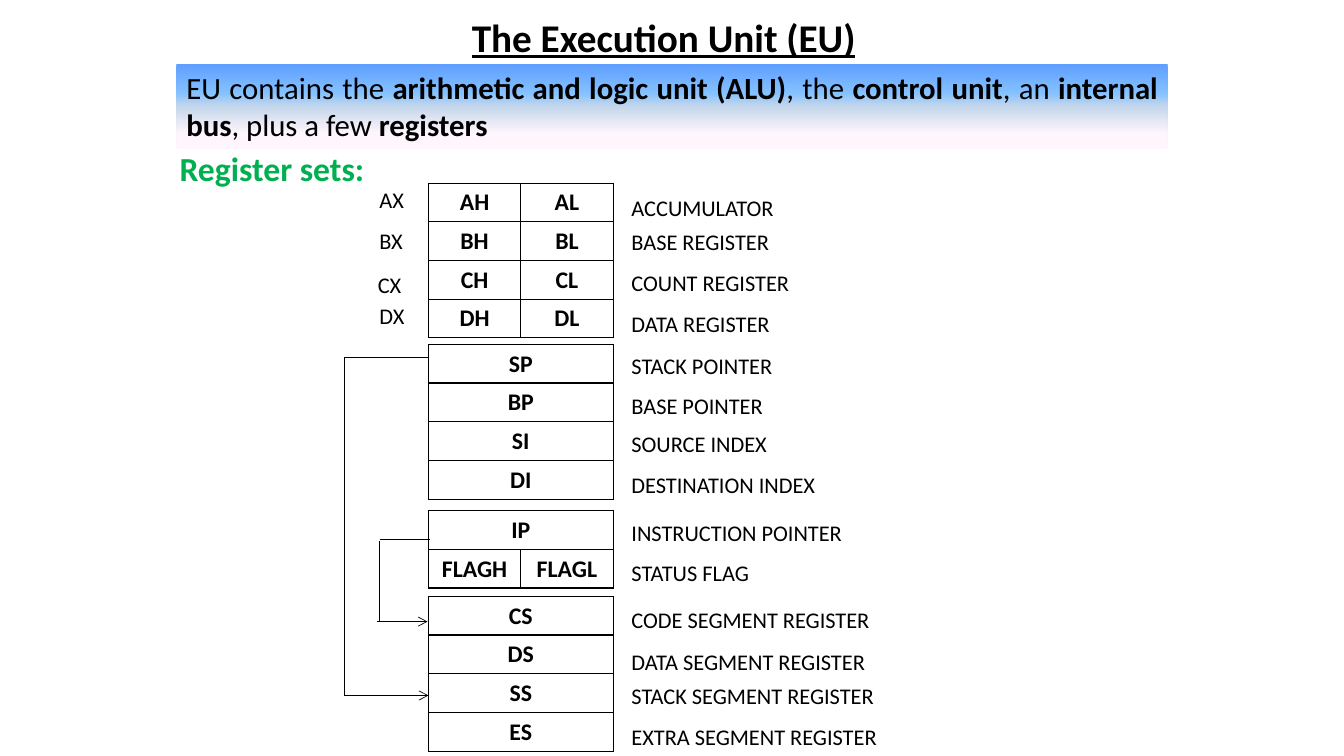
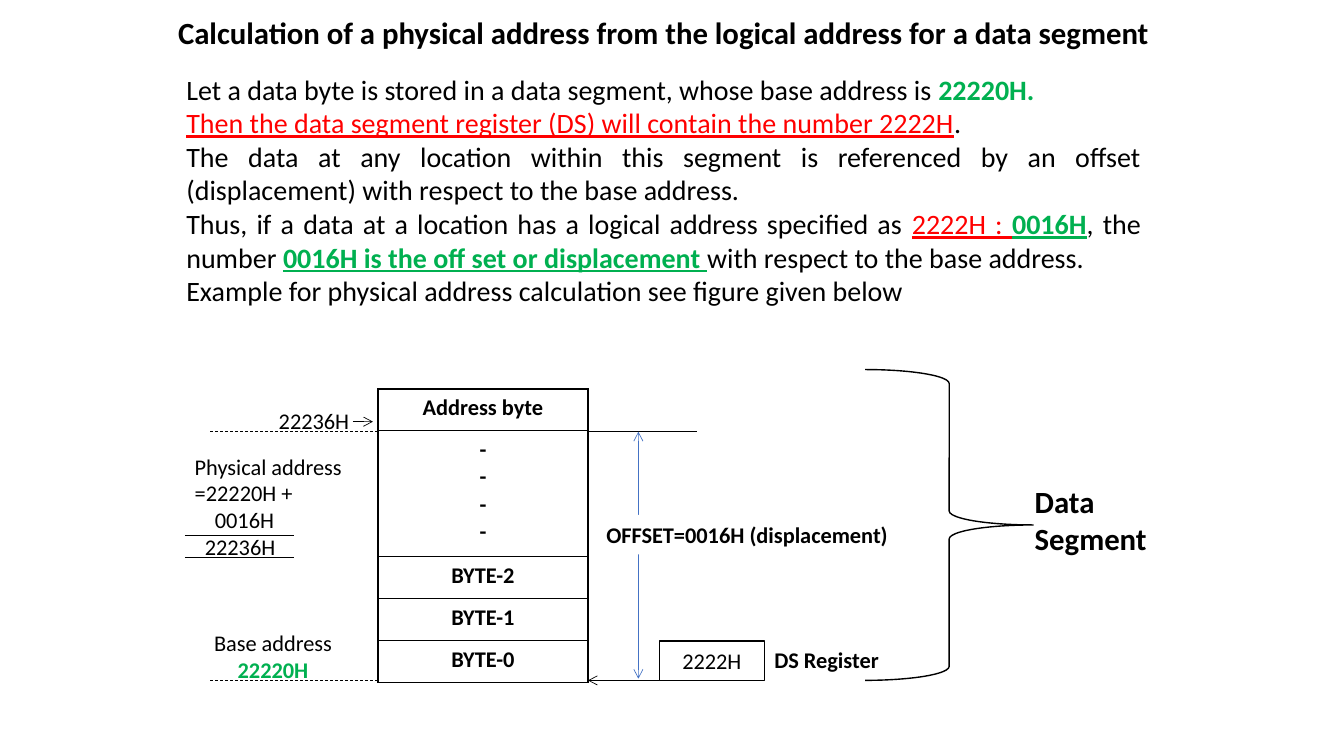
"""Build two slides on processor registers and physical address calculation."""
from dataclasses import dataclass
from typing import NamedTuple

from lxml.etree import SubElement
from pptx import Presentation
from pptx.dml.color import RGBColor
from pptx.enum.dml import MSO_LINE as Dash
from pptx.enum.shapes import MSO_CONNECTOR as Connector, MSO_SHAPE as Preset
from pptx.enum.text import MSO_ANCHOR as Anchor, MSO_AUTO_SIZE as AutoSize, PP_ALIGN as Align
from pptx.oxml.ns import qn
from pptx.util import Inches, Pt

FONT = "Calibri"
BLACK = RGBColor(0x00, 0x00, 0x00)
WHITE = RGBColor(0xFF, 0xFF, 0xFF)
GREEN = RGBColor(0x00, 0xB0, 0x50)
RED = RGBColor(0xFF, 0x00, 0x00)
BLUE = RGBColor(0x44, 0x72, 0xC4)
BANNER_STOPS = (
    (0, RGBColor(0x5E, 0x9E, 0xFF)),
    (35, RGBColor(0x85, 0xC2, 0xFF)),
    (50, RGBColor(0xC4, 0xD6, 0xEB)),
    (82, RGBColor(0xFF, 0xF5, 0xFC)),
)
CELLS_PER_INCH = 12
COLUMNS, ROWS = 160, 90
LABEL_SIZE = 16
TITLE_ONLY = 5


class Area(NamedTuple):
    left: float
    top: float
    width: float
    height: float


class Label(NamedTuple):
    text: str
    left: float
    top: float
    width: float


@dataclass(frozen=True)
class Span:
    text: str
    bold: bool = False
    color: RGBColor = BLACK
    underline: bool = False


@dataclass(frozen=True)
class Para:
    spans: tuple[Span, ...]
    indent: float = 0


@dataclass(frozen=True)
class Grid:
    left: float
    top: float
    columns: tuple[float, ...]
    rows: tuple[float, ...]
    cells: tuple[tuple[str, ...], ...]


@dataclass(frozen=True)
class Wire:
    start: tuple[float, float]
    end: tuple[float, float]
    color: RGBColor = BLACK
    dash: Dash | None = None
    head: bool = False
    tail: bool = False


ROW = 4.6
PAIR, SINGLE = (11, 11), (22,)
REGISTER_GRIDS = (
    Grid(51, 21.8, PAIR, (ROW,) * 4, (("AH", "AL"), ("BH", "BL"), ("CH", "CL"), ("DH", "DL"))),
    Grid(51, 41, SINGLE, (ROW,) * 4, (("SP",), ("BP",), ("SI",), ("DI",))),
    Grid(51, 60.8, PAIR, (ROW,) * 2, (("IP",), ("FLAGH", "FLAGL"))),
    Grid(51, 71, SINGLE, (ROW,) * 4, (("CS",), ("DS",), ("SS",), ("ES",))),
)
REGISTER_NAMES = (
    ("ACCUMULATOR", 20.9), ("BASE REGISTER", 25), ("COUNT REGISTER", 29.8),
    ("DATA REGISTER", 34.7), ("STACK POINTER", 39.7), ("BASE POINTER", 44.5),
    ("SOURCE INDEX", 49), ("DESTINATION INDEX", 53.9), ("INSTRUCTION POINTER", 59.6),
    ("STATUS FLAG", 64.4), ("CODE SEGMENT REGISTER", 70), ("DATA SEGMENT REGISTER", 75),
    ("STACK SEGMENT REGISTER", 79), ("EXTRA SEGMENT REGISTER", 83.9),
)
REGISTER_LABELS = (
    Label("AX", 44, 20, 7), Label("BX", 44, 24.8, 7),
    Label("CX", 43.8, 30.1, 7), Label("DX", 44, 33.8, 7),
    *(Label(name, 74, top, 35) for name, top in REGISTER_NAMES),
)
REGISTER_WIRES = (
    Wire((51, 42.5), (41, 42.5)),
    Wire((41, 42.5), (41, 82.8)),
    Wire((41, 82.8), (51, 82.8), tail=True),
    Wire((45.2, 64.4), (45.2, 74)),
    Wire((44.9, 74), (50.9, 74), tail=True),
    Wire((51.2, 64.2), (45.2, 64.2)),
)
BANNER_TEXT = Para((
    Span("EU contains the "), Span("arithmetic and logic unit (ALU)", bold=True),
    Span(", the "), Span("control unit", bold=True), Span(", an "),
    Span("internal bus", bold=True), Span(", plus a few "), Span("registers", bold=True),
))

MEMORY_GRID = Grid(45, 46.3, (25,), (5, 15, 5, 5, 5),
                   (("Address byte",), ("-\n-\n-\n-",), ("BYTE-2",), ("BYTE-1",), ("BYTE-0",)))
BYTE_LINE, BASE_LINE = 51.4, 81
MEMORY_WIRES = (
    Wire((45, BYTE_LINE), (25, BYTE_LINE), dash=Dash.DASH),
    Wire((45, BASE_LINE), (25, BASE_LINE), dash=Dash.DASH),
    Wire((70, BYTE_LINE), (83, BYTE_LINE)),
    Wire((70, BASE_LINE), (83, BASE_LINE), head=True),
    Wire((76, BYTE_LINE), (76, 80.8), color=BLUE, head=True, tail=True),
    Wire((22, 63.7), (35, 63.7)),
    Wire((22, 66.4), (35, 66.4)),
    Wire((42, 50.2), (44.4, 50.2), tail=True),
)
EXPLANATION = (
    Para((Span("Let a data byte is stored in a data segment, whose base address is "),
          Span("22220H.", bold=True, color=GREEN))),
    Para((Span("Then the data segment register (DS) will contain the number 2222H",
               color=RED, underline=True), Span("."))),
    Para((Span("The data at any location within this segment is referenced by an offset "
               "(displacement) with respect to the base address."),)),
    Para((Span("Thus, if a data at a location has a logical address specified as "),
          Span("2222H : ", color=RED, underline=True),
          Span("0016H", bold=True, color=GREEN, underline=True), Span(", the number "),
          Span("0016H is the off set or displacement ", bold=True, color=GREEN, underline=True),
          Span("with respect to the base address."))),
    Para((Span("Example for physical address calculation see figure given below"),)),
)
ADDRESS_SUM = (
    Para((Span("Physical address"),)),
    Para((Span("=22220H +"),)),
    Para((Span("0016H"),), indent=2.4),
    Para((Span("22236H"),), indent=1.2),
)


def cells(count: float) -> int:
    return Inches(count / CELLS_PER_INCH)


def plain(text: str, **style) -> tuple[Para, ...]:
    return tuple(Para((Span(line, **style),)) for line in text.split("\n"))


def write(frame, paras, *, size=LABEL_SIZE, align=Align.LEFT, spacing=None) -> None:
    for index, content in enumerate(paras):
        para = frame.add_paragraph() if index else frame.paragraphs[0]
        para.alignment = align
        if spacing:
            para.line_spacing = spacing
        if content.indent:
            para._p.get_or_add_pPr().set("marL", str(cells(content.indent)))
        for span in content.spans:
            run = para.add_run()
            run.text = span.text
            font = run.font
            font.name, font.size, font.bold = FONT, Pt(size), span.bold
            font.underline = span.underline
            font.color.rgb = span.color


def add_title(page, text, area, *, size, align, underline=False) -> None:
    title = page.shapes.title
    title.left, title.top, title.width, title.height = map(cells, area)
    frame = title.text_frame
    frame.auto_size, frame.word_wrap = AutoSize.NONE, True
    frame.vertical_anchor = Anchor.TOP
    write(frame, plain(text, bold=True, underline=underline), size=size, align=align)


def add_text(page, paras, area, *, wrap=True, **style) -> None:
    frame = page.shapes.add_textbox(*map(cells, area)).text_frame
    frame.word_wrap = wrap
    write(frame, paras, **style)


def add_panel(page, area, *, paras=(), preset=Preset.RECTANGLE, fill=None, line=None,
              anchor=Anchor.MIDDLE, **style):
    shape = page.shapes.add_shape(preset, *map(cells, area))
    shape.shadow.inherit = False
    if fill is None:
        shape.fill.background()
    else:
        shape.fill.solid()
        shape.fill.fore_color.rgb = fill
    if line is None:
        shape.line.fill.background()
    else:
        shape.line.color.rgb = line
        shape.line.width = Pt(1)
    shape.text_frame.word_wrap = True
    shape.text_frame.vertical_anchor = anchor
    write(shape.text_frame, paras, **style)
    return shape


def shade(shape, stops) -> None:
    shape.fill.gradient()
    shape.fill.gradient_angle = 270
    stop_list = shape._element.spPr.find(".//" + qn("a:gsLst"))
    for stop in list(stop_list):
        stop_list.remove(stop)
    for percent, color in stops:
        stop = SubElement(stop_list, qn("a:gs"), pos=str(percent * 1000))
        SubElement(stop, qn("a:srgbClr"), val=str(color))


def add_wire(page, wire: Wire) -> None:
    line = page.shapes.add_connector(Connector.STRAIGHT, *map(cells, wire.start + wire.end))
    line.line.color.rgb = wire.color
    line.line.width = Pt(0.5)
    if wire.dash:
        line.line.dash_style = wire.dash
    outline = line.line._get_or_add_ln()
    for tag, wanted in (("a:headEnd", wire.head), ("a:tailEnd", wire.tail)):
        if wanted:
            SubElement(outline, qn(tag), type="arrow")
    SubElement(line._element.spPr, qn("a:effectLst"))


def add_borders(cell) -> None:
    properties = cell._tc.get_or_add_tcPr()
    for position, side in enumerate(("a:lnL", "a:lnR", "a:lnT", "a:lnB")):
        border = SubElement(properties, qn(side), w=str(Pt(1)))
        properties.insert(position, border)
        paint = SubElement(border, qn("a:solidFill"))
        SubElement(paint, qn("a:srgbClr"), val=str(BLACK))


def add_grid(page, grid: Grid, *, size: float) -> None:
    area = Area(grid.left, grid.top, sum(grid.columns), sum(grid.rows))
    table = page.shapes.add_table(len(grid.rows), len(grid.columns), *map(cells, area)).table
    table.first_row = table.horz_banding = False
    for column, width in zip(table.columns, grid.columns):
        column.width = cells(width)
    for row, height in zip(table.rows, grid.rows):
        row.height = cells(height)
    for cell in table.iter_cells():
        cell.fill.background()
        add_borders(cell)
    for row, texts in enumerate(grid.cells):
        if len(texts) < len(grid.columns):
            table.cell(row, 0).merge(table.cell(row, len(grid.columns) - 1))
        for column, text in enumerate(texts):
            write(table.cell(row, column).text_frame, plain(text, bold=True),
                  size=size, align=Align.CENTER)


def build_registers(page) -> None:
    add_title(page, "The Execution Unit (EU)", Area(54.7, 1, 48.6, 6.8),
              size=28, align=Align.CENTER, underline=True)
    banner = add_panel(page, Area(21, 7.6, 118, 10.1), paras=(BANNER_TEXT,),
                       anchor=Anchor.TOP, size=22, align=Align.JUSTIFY)
    shade(banner, BANNER_STOPS)
    add_text(page, plain("Register sets:", bold=True, color=GREEN), Area(20.2, 17, 24.7, 6),
             wrap=False, size=24, align=Align.JUSTIFY)
    for grid in REGISTER_GRIDS:
        add_grid(page, grid, size=17)
    for label in REGISTER_LABELS:
        add_text(page, plain(label.text), Area(label.left, label.top, label.width, 5.5), spacing=1.5)
    for wire in REGISTER_WIRES:
        add_wire(page, wire)


def build_address(page) -> None:
    add_title(page, "Calculation of a physical address from the logical address for a data segment",
              Area(20, 1, 119, 5.6), size=22, align=Align.LEFT)
    add_grid(page, MEMORY_GRID, size=LABEL_SIZE)
    for wire in MEMORY_WIRES:
        add_wire(page, wire)
    add_panel(page, Area(78.5, 76.3, 12.5, 4.7), paras=plain("2222H"), fill=WHITE, line=BLACK,
              align=Align.CENTER)
    add_text(page, plain("DS Register", bold=True), Area(91, 76.3, 17, 4.4))
    add_panel(page, Area(71, 61.3, 37, 4.7), fill=WHITE,
              paras=plain("OFFSET=0016H (displacement)", bold=True))
    add_text(page, ADDRESS_SUM, Area(22, 53.3, 21, 14.2))
    base = Para((Span("Base address "), Span("22220H", bold=True, color=GREEN)))
    add_text(page, (base,), Area(22, 74.3, 21, 7.7), align=Align.CENTER)
    add_text(page, plain("22236H"), Area(32, 47.9, 10.9, 4.4), wrap=False)
    add_text(page, EXPLANATION, Area(21, 8, 116, 29.5), size=20, align=Align.JUSTIFY)
    add_panel(page, Area(103, 44, 20, 37), preset=Preset.RIGHT_BRACE, line=BLACK)
    add_text(page, plain("Data Segment", bold=True), Area(122, 56.9, 17, 10.1), size=22)


def main() -> None:
    deck = Presentation()
    deck.slide_width, deck.slide_height = cells(COLUMNS), cells(ROWS)
    for build in (build_registers, build_address):
        build(deck.slides.add_slide(deck.slide_layouts[TITLE_ONLY]))
    deck.save("out.pptx")


if __name__ == "__main__":
    main()
